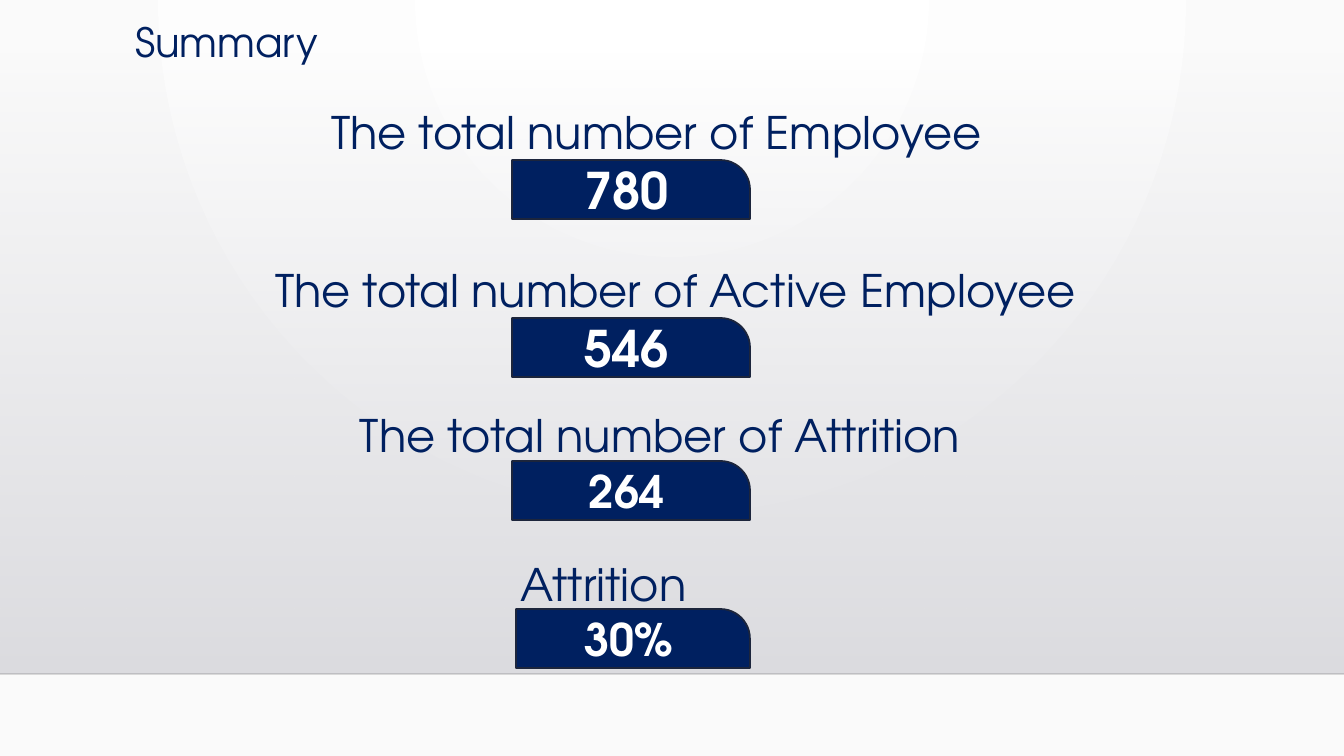
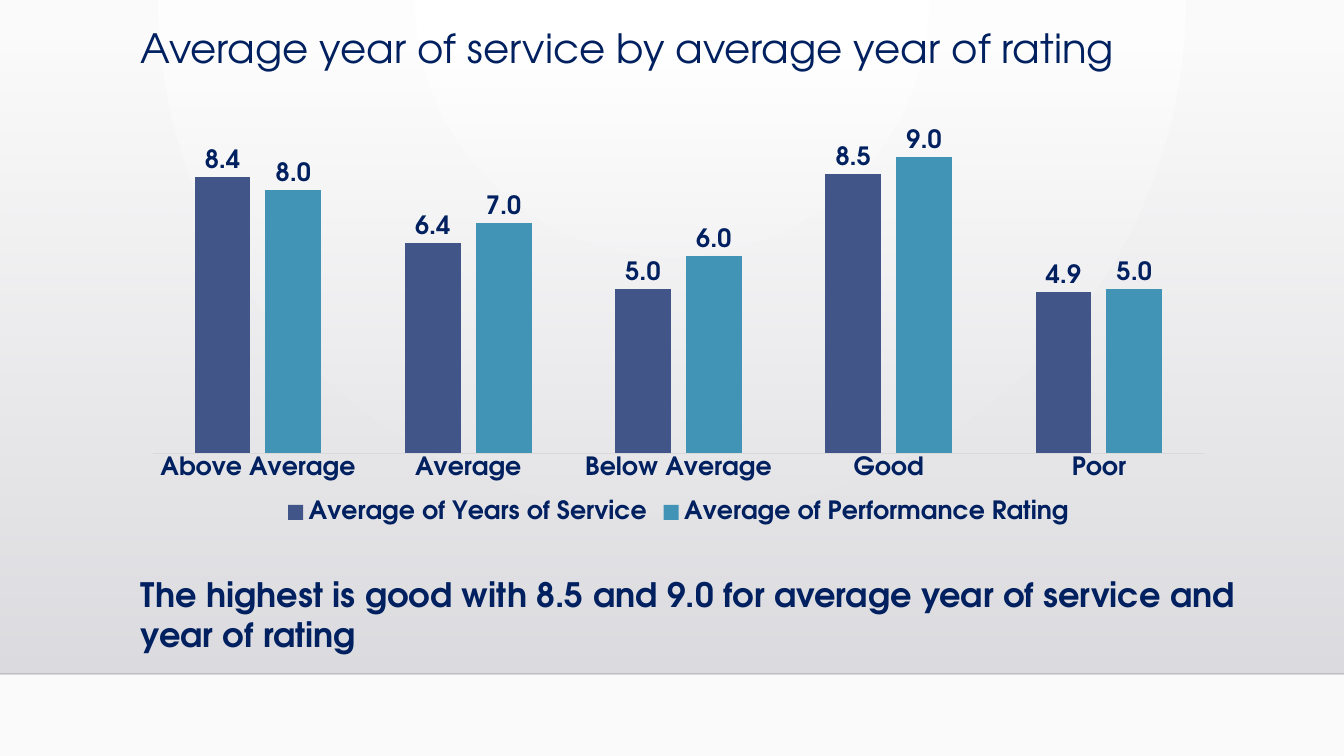
import pptx
import pptx.chart.data
import pptx.dml.color
import pptx.enum.chart
import pptx.enum.shapes
import pptx.enum.text
import pptx.oxml
import pptx.oxml.ns
import pptx.util

FONT = "TeX Gyre Adventor"
COLORS = {
    "navy": "002060", "edge": "1C253C", "white": "FFFFFF", "page": "FAFAFA",
    "band_top": "DCDCE0", "band_end": "DEDEE2", "rule": "000001",
    "axis": "D9D9D9", "service": "415588", "rating": "4294B6",
}
WIDTH, HEIGHT = 1344, 756
BAND_TOP, BAND_END = 51, 674
BADGE_RIGHT, BADGE_HEIGHT = 750, 59
INSET = 10

# label, label left, label top, label width, badge left, badge top, value, value size
FIGURES = [
    ("The total number of Employee", 321, 106, 750, 512, 160, "780", 36),
    ("The total number of Active Employee", 265, 264, 919, 512, 318, "546", 36),
    ("The total number of Attrition", 350, 409, 750, 512, 461, "264", 32),
    ("Attrition", 511, 558, 210, 516, 609, "30%", 32),
]
RATINGS = ["Above Average", "Average", "Below Average", "Good", "Poor"]
SERIES = [
    ("Average of Years of Service", [8.4, 6.4, 5, 8.5, 4.9], "service"),
    ("Average of Performance Rating", [8, 7, 6, 9, 5], "rating"),
]


def px(length):
    return pptx.util.Emu(round(length * 914400 / 100.8))


def rgb(name):
    return pptx.dml.color.RGBColor.from_string(COLORS[name])


def gradient(start, end, direction, start_alpha=100):
    """Build a two-stop gradient fill element."""
    return pptx.oxml.parse_xml(
        f'<a:gradFill {pptx.oxml.ns.nsdecls("a")} rotWithShape="1"><a:gsLst>'
        f'<a:gs pos="0"><a:srgbClr val="{COLORS[start]}">'
        f'<a:alpha val="{start_alpha * 1000}"/></a:srgbClr></a:gs>'
        f'<a:gs pos="100000"><a:srgbClr val="{COLORS[end]}"/></a:gs>'
        f'</a:gsLst>{direction}</a:gradFill>')


def replace_fill(solid_fill, new_fill):
    solid_fill.getparent().replace(solid_fill, new_fill)


def style_font(font, size, color="navy", bold=False):
    font.name = FONT
    font.size = pptx.util.Pt(size)
    font.bold = bold
    font.color.rgb = rgb(color)


def write(shape, text, size, color="navy", bold=False, align="LEFT", anchor="TOP",
          spacing=None):
    frame = shape.text_frame
    frame.word_wrap = True
    frame.vertical_anchor = getattr(pptx.enum.text.MSO_ANCHOR, anchor)
    frame.margin_left = frame.margin_right = px(INSET)
    frame.margin_top = frame.margin_bottom = px(5)
    frame.text = text
    para = frame.paragraphs[0]
    para.alignment = getattr(pptx.enum.text.PP_ALIGN, align)
    para.line_spacing = spacing
    style_font(para.runs[0].font, size, color, bold)


def decorate_master(deck, slide):
    """Give every slide the round glow, the grey band and its rule."""
    master = deck.slide_master
    fill = master.background.fill
    fill.solid()
    fill.fore_color.rgb = rgb("white")
    glow = ('<a:path path="circle"><a:fillToRect l="43000" t="0" r="43000" '
            'b="100000"/></a:path>')
    background = master.element.find(".//" + pptx.oxml.ns.qn("p:bgPr"))
    replace_fill(background[0], gradient("white", "page", glow))

    band = slide.shapes.add_shape(pptx.enum.shapes.MSO_SHAPE.RECTANGLE, 0, px(BAND_TOP),
                                  px(WIDTH), px(BAND_END - BAND_TOP))
    band.shadow.inherit = False
    band.line.fill.background()
    band.fill.solid()
    replace_fill(band.element.spPr.find(pptx.oxml.ns.qn("a:solidFill")),
                 gradient("band_top", "band_end", '<a:lin ang="5400000" scaled="0"/>', 0))

    rule = slide.shapes.add_connector(pptx.enum.shapes.MSO_CONNECTOR.STRAIGHT, 0,
                                      px(BAND_END), px(WIDTH), px(BAND_END))
    rule.line.width = pptx.util.Pt(1)
    rule.line.color.rgb = rgb("rule")
    color = rule.element.find(".//" + pptx.oxml.ns.qn("a:srgbClr"))
    color.append(pptx.oxml.parse_xml(
        f'<a:alpha {pptx.oxml.ns.nsdecls("a")} val="20000"/>'))
    rule.element.spPr.append(pptx.oxml.parse_xml(
        f'<a:effectLst {pptx.oxml.ns.nsdecls("a")}/>'))

    # Move both parts behind the placeholders of the master
    for offset, shape in enumerate((band, rule)):
        shape.element.find(".//" + pptx.oxml.ns.qn("p:cNvPr")).set("id", str(100 + offset))
        master.shapes.element.insert(2 + offset, shape.element)


def add_titled_slide(deck, title, left, top, width, height):
    slide = deck.slides.add_slide(deck.slide_layouts[5])
    box = slide.shapes.title
    box.left, box.top, box.width, box.height = map(px, (left, top, width, height))
    write(box, title, 28.8, spacing=0.9)
    box.text_frame.auto_size = pptx.enum.text.MSO_AUTO_SIZE.NONE
    return slide


def add_text(slide, text, left, top, width, height, size, **style):
    box = slide.shapes.add_textbox(px(left), px(top), px(width), px(height))
    write(box, text, size, **style)


def add_badge(slide, value, left, top, size):
    badge = slide.shapes.add_shape(pptx.enum.shapes.MSO_SHAPE.ROUND_1_RECTANGLE, px(left),
                                   px(top), px(BADGE_RIGHT - left), px(BADGE_HEIGHT))
    badge.adjustments[0] = 0.5
    badge.shadow.inherit = False
    badge.fill.solid()
    badge.fill.fore_color.rgb = rgb("navy")
    badge.line.color.rgb = rgb("edge")
    badge.line.width = pptx.util.Pt(1.25)
    write(badge, value, size, "white", True, "CENTER", "MIDDLE")


def add_rating_chart(slide, left, top, width, height):
    data = pptx.chart.data.CategoryChartData(number_format="0.0")
    data.categories = RATINGS
    for name, values, _ in SERIES:
        data.add_series(name, values)
    chart = slide.shapes.add_chart(
        pptx.enum.chart.XL_CHART_TYPE.COLUMN_CLUSTERED,
        px(left), px(top), px(width), px(height), data).chart
    style_font(chart.font, 18, bold=True)
    chart.has_title = False

    # Legend and axes
    chart.has_legend = True
    chart.legend.position = pptx.enum.chart.XL_LEGEND_POSITION.BOTTOM
    chart.legend.include_in_layout = False
    style_font(chart.legend.font, 18, bold=True)
    categories, scale = chart.category_axis, chart.value_axis
    categories.major_tick_mark = pptx.enum.chart.XL_TICK_MARK.NONE
    categories.format.line.color.rgb = rgb("axis")
    categories.format.line.width = pptx.util.Pt(0.75)
    style_font(categories.tick_labels.font, 18, bold=True)
    scale.minimum_scale, scale.maximum_scale = 0, 10
    scale.has_major_gridlines = False
    scale.visible = False

    # Columns and their values
    plot = chart.plots[0]
    plot.gap_width, plot.overlap = 150, -27
    plot.vary_by_categories = False
    for series, (_, _, color) in zip(plot.series, SERIES):
        series.format.fill.solid()
        series.format.fill.fore_color.rgb = rgb(color)
        labels = series.data_labels
        labels.show_value = True
        labels.number_format = "0.0"
        labels.number_format_is_linked = False
        labels.position = pptx.enum.chart.XL_LABEL_POSITION.OUTSIDE_END
        style_font(labels.font, 18, bold=True)


def main():
    deck = pptx.Presentation()
    deck.slide_width, deck.slide_height = px(WIDTH), px(HEIGHT)

    # Summary figures
    summary = add_titled_slide(deck, "Summary", 125, 18, 1058, 52)
    decorate_master(deck, summary)
    for label, left, top, width, badge_left, badge_top, value, size in FIGURES:
        add_text(summary, label, left, top, width, 68, 32, spacing=0.9)
        add_badge(summary, value, badge_left, badge_top, size)

    # Service and rating chart
    ratings = add_titled_slide(deck, "Average year of service by average year of rating",
                               131, 24, 1164, 40)
    add_text(ratings, "The highest is good with 8.5 and 9.0 for average year of service "
             "and year of rating", 131, 569, 1125, 92, 24, bold=True)
    add_rating_chart(ratings, 131, 116, 1095, 413)

    deck.save("out.pptx")


if __name__ == "__main__":
    main()
